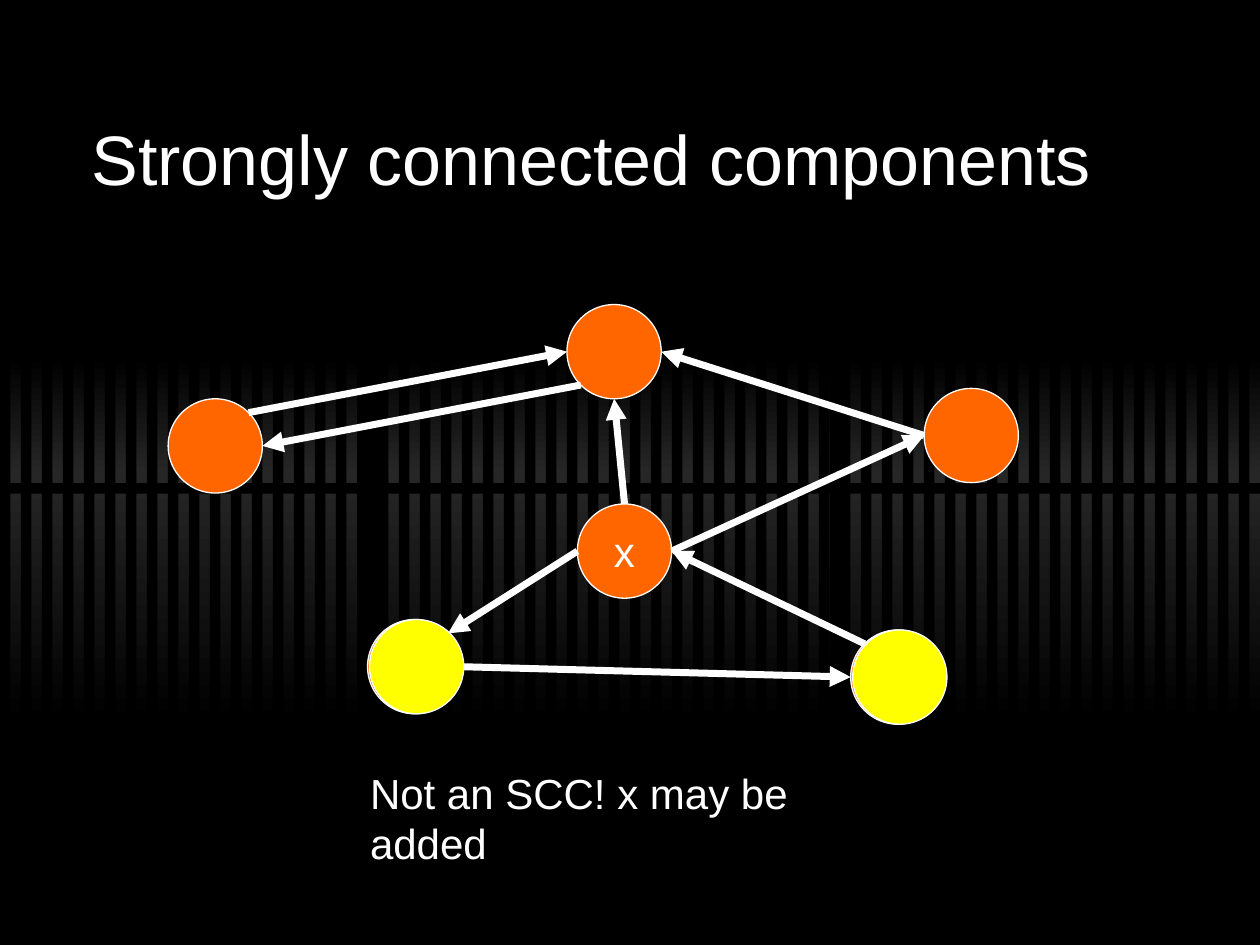
from math import cos, radians, sin

from lxml.etree import SubElement
from pptx import Presentation
from pptx.dml.color import RGBColor
from pptx.enum.shapes import MSO_CONNECTOR, MSO_SHAPE
from pptx.enum.text import MSO_ANCHOR, PP_ALIGN
from pptx.oxml.ns import qn
from pptx.util import Cm, Pt

WIDTH, HEIGHT = 25.4, 19.05
STRIPE = WIDTH / 120
DIAMETER = 1.9
BLACK, GREY, WHITE = "000000", "262626", "FFFFFF"
ORANGE, YELLOW = "FF6600", "FFFF00"

NODES = {
    "lower left": (7.41, 12.49),
    "lower right": (17.15, 12.7),
    "x": (11.64, 10.16),
    "left": (3.39, 8.04),
    "top": (11.43, 6.14),
    "right": (18.63, 7.83),
}
EDGES = [
    ("lower left", 0, "lower right", 180),
    ("lower right", 135, "x", 0),
    ("x", 180, "lower left", 45),
    ("left", 45, "top", 180),
    ("top", 225, "left", 0),
    ("x", 90, "top", 270),
    ("right", 180, "top", 0),
    ("x", 0, "right", 180),
]


def color(value):
    return RGBColor.from_string(value)


def rim_point(node, angle):
    left, top = NODES[node]
    radius = DIAMETER / 2
    return (
        Cm(left + radius + radius * cos(radians(angle))),
        Cm(top + radius - radius * sin(radians(angle))),
    )


class GraphSlide:
    font = "Arial"
    ink = WHITE

    def __init__(self, presentation):
        self.slide = presentation.slides.add_slide(presentation.slide_layouts[5])
        self.slide.background.fill.solid()
        self.slide.background.fill.fore_color.rgb = color(BLACK)

    def add_text(self, shape, text, size, alignment, anchor, wrap):
        frame = shape.text_frame
        frame.word_wrap = wrap
        frame.vertical_anchor = anchor
        paragraph = frame.paragraphs[0]
        paragraph.alignment = alignment
        run = paragraph.add_run()
        run.text = text
        run.font.name = self.font
        run.font.size = Pt(size)
        run.font.color.rgb = color(self.ink)

    def title(self, text, left, top, width, height):
        shape = self.slide.shapes.title
        shape.left, shape.top = Cm(left), Cm(top)
        shape.width, shape.height = Cm(width), Cm(height)
        self.add_text(shape, text, 40, PP_ALIGN.LEFT, MSO_ANCHOR.MIDDLE, True)

    def caption(self, text, left, top, width, height):
        shape = self.slide.shapes.add_textbox(Cm(left), Cm(top), Cm(width), Cm(height))
        self.add_text(shape, text, 24, PP_ALIGN.LEFT, MSO_ANCHOR.TOP, False)

    def shape(self, kind, left, top, width, height):
        shape = self.slide.shapes.add_shape(kind, Cm(left), Cm(top), Cm(width), Cm(height))
        shape.shadow.inherit = False
        return shape

    def bar(self, left, top, width, height):
        shape = self.shape(MSO_SHAPE.RECTANGLE, left, top, width, height)
        shape.fill.solid()
        shape.fill.fore_color.rgb = color(BLACK)
        shape.line.fill.background()

    def glow(self, top, height, start, end):
        shape = self.shape(MSO_SHAPE.RECTANGLE, 0, top, WIDTH, height)
        shape.fill.gradient()
        shape.fill.gradient_angle = 270
        for stop, value in zip(shape.fill.gradient_stops, (start, end)):
            stop.color.rgb = color(value)
        shape.line.fill.background()

    def node(self, left, top, fill, label=None):
        shape = self.shape(MSO_SHAPE.OVAL, left, top, DIAMETER, DIAMETER)
        shape.fill.solid()
        shape.fill.fore_color.rgb = color(fill)
        shape.line.color.rgb = color(self.ink)
        shape.line.width = Pt(0.75)
        if label:
            self.add_text(shape, label, 24, PP_ALIGN.CENTER, MSO_ANCHOR.MIDDLE, False)

    def arrow(self, start, end):
        connector = self.slide.shapes.add_connector(MSO_CONNECTOR.STRAIGHT, *start, *end)
        connector.line.color.rgb = color(self.ink)
        connector.line.width = Pt(4)
        properties = connector.element.spPr
        SubElement(properties.find(qn("a:ln")), qn("a:tailEnd"), type="triangle")
        SubElement(properties, qn("a:effectLst"))


def main():
    presentation = Presentation()
    presentation.slide_width, presentation.slide_height = Cm(WIDTH), Cm(HEIGHT)
    graph = GraphSlide(presentation)

    graph.glow(7.2, 2.33, BLACK, GREY)
    graph.glow(9.53, 5.08, GREY, BLACK)
    for index in range(60):
        left = 2 * index * STRIPE
        if index == 17:
            graph.bar(left, 6.35, 2 * STRIPE, 9.95)
        elif index == 40:
            graph.bar(left - STRIPE, 6.35, 2 * STRIPE, 9.95)
        else:
            graph.bar(left, 6.35, STRIPE, 9.95)
    graph.bar(0, 9.74, WIDTH, STRIPE)

    graph.title("Strongly connected components", 1.59, 1.91, 22.23, 2.54)

    for name, (left, top) in NODES.items():
        graph.node(left, top, ORANGE, "x" if name == "x" else None)
    for source, source_angle, target, target_angle in EDGES:
        graph.arrow(rim_point(source, source_angle), rim_point(target, target_angle))
    for name in ("lower left", "lower right"):
        left, top = NODES[name]
        graph.node(left + 0.04, top, YELLOW)

    graph.caption("Not an SCC! x may be added", 7.21, 15.34, 11.51, 1.27)
    presentation.save("out.pptx")


if __name__ == "__main__":
    main()
